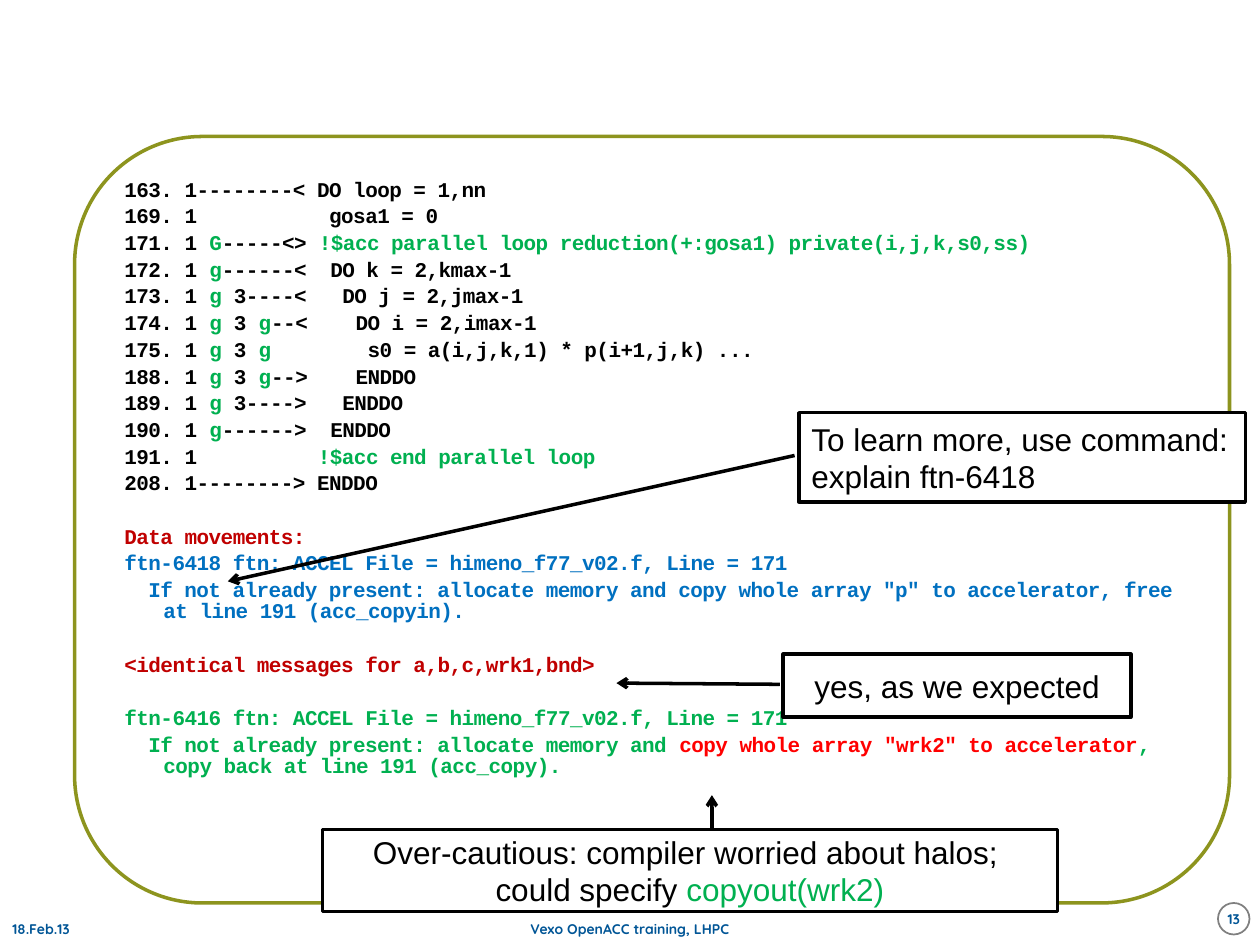
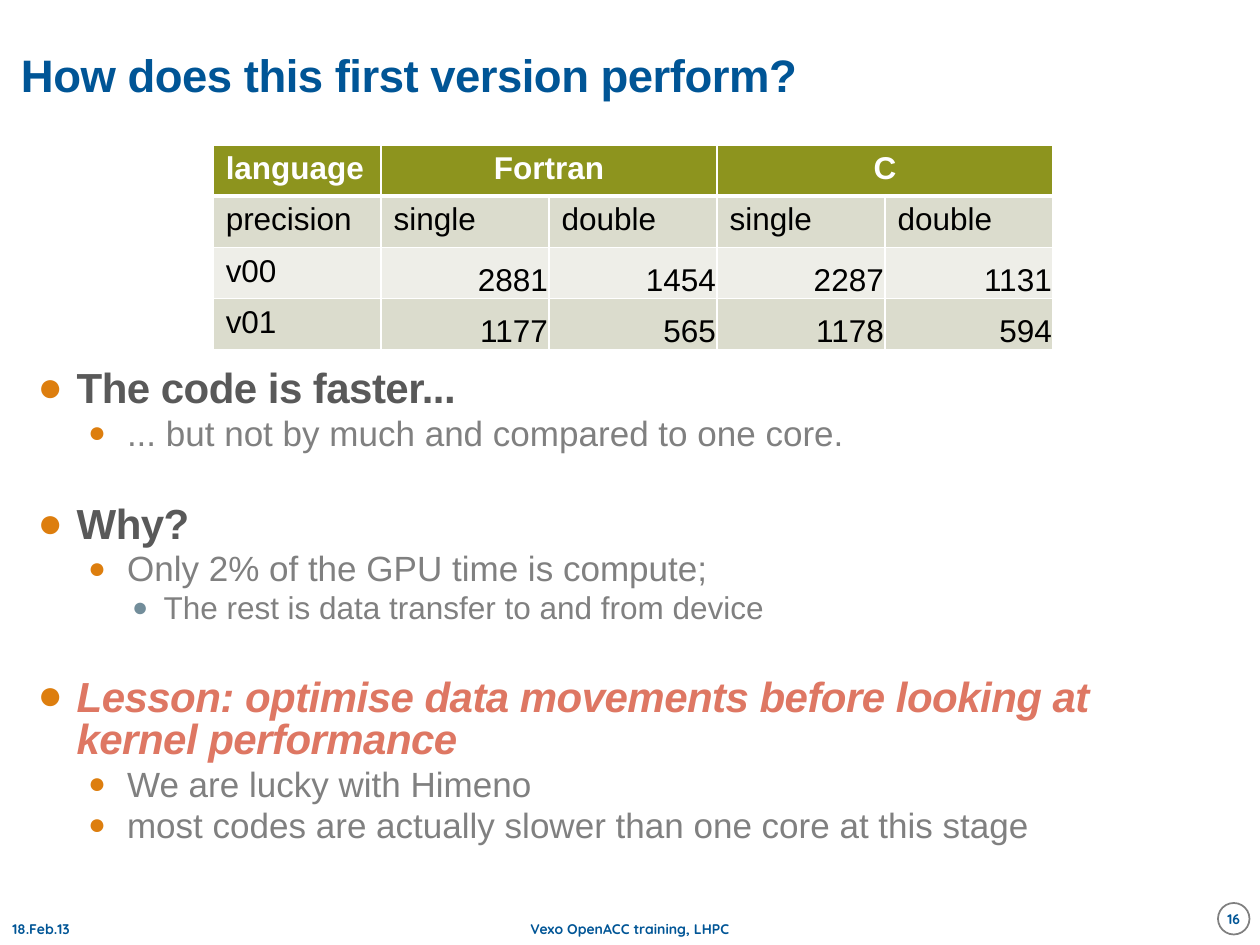
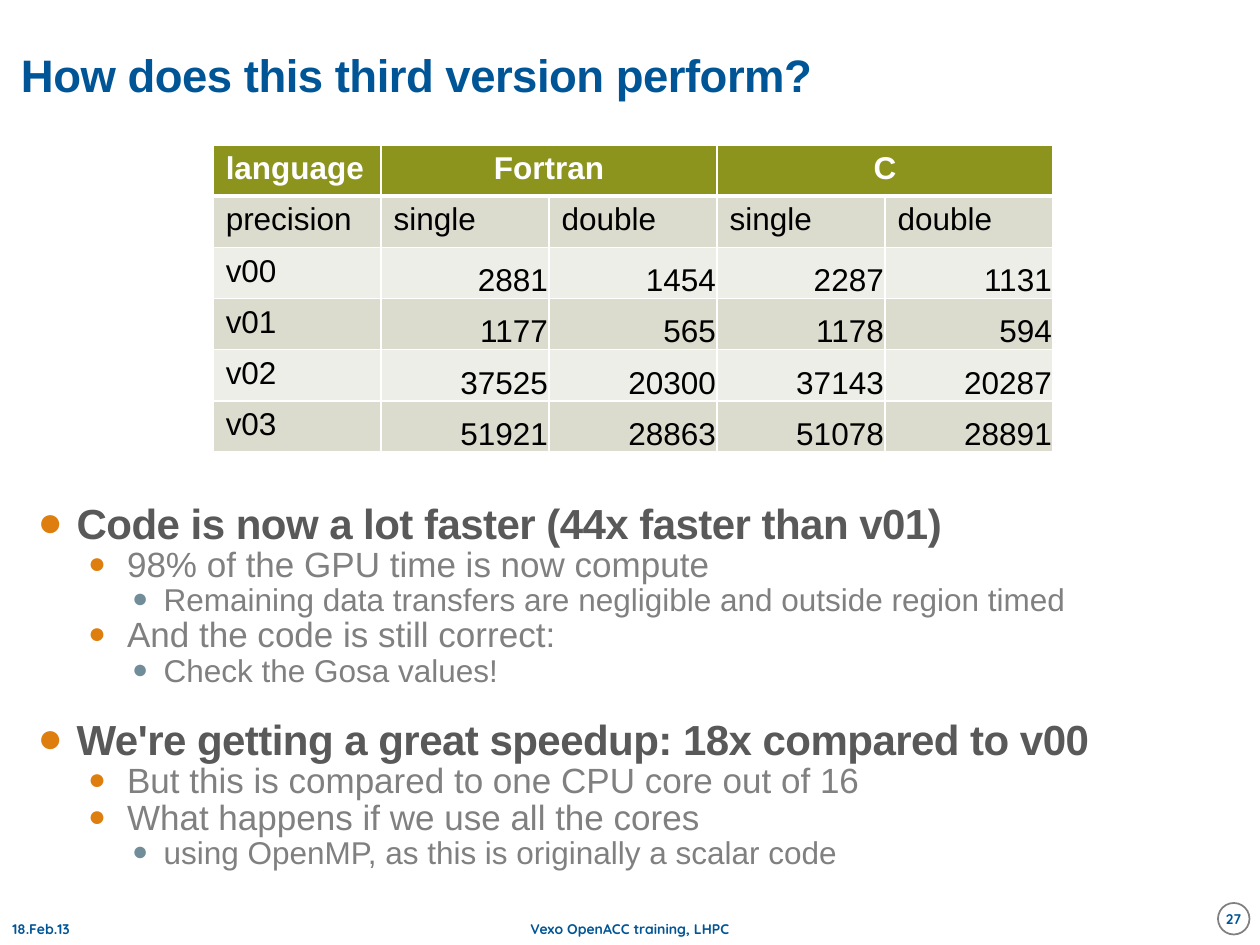
from pptx import Presentation
from pptx.dml.color import RGBColor
from pptx.enum.shapes import MSO_SHAPE
from pptx.enum.text import MSO_ANCHOR, PP_ALIGN
from pptx.oxml import parse_xml
from pptx.oxml.ns import nsdecls, qn
from pptx.util import Inches, Pt

LEFT, MID, RIGHT = PP_ALIGN.LEFT, PP_ALIGN.CENTER, PP_ALIGN.RIGHT
TOP, CENTER, BOTTOM = MSO_ANCHOR.TOP, MSO_ANCHOR.MIDDLE, MSO_ANCHOR.BOTTOM
OVAL, ROUND, CALL = (MSO_SHAPE.OVAL, MSO_SHAPE.ROUNDED_RECTANGLE,
                     MSO_SHAPE.LINE_CALLOUT_1)

HEX = {
    "white": "FFFFFF", "black": "000000", "navy": "005596", "olive": "8D941E",
    "gray": "808080", "dark": "595959", "coral": "DE7763", "amber": "DD7E0E",
    "slate": "728D9A", "green": "00B050", "wine": "C00000", "blue": "0070C0",
    "red": "FF0000", "band": "DBDCCD", "pale": "EEEEE8",
}
SANS, MONO, FOOT = "Arial", "Courier New", "Quicksand"

# The slide is a grid of 120 columns and 90 rows
COLS, ROWS = 120, 90
WIDE, HIGH = Inches(10), Inches(7.5)

TITLE = (2, 2, 96, 11)
DATE = (0, 87, 28, 3)
EVENT = (41, 87, 38, 3)
BADGE = (116, 86, 3, 3)
FRAME = (7.1, 13, 110, 73)
MAIN = (2.4, 13.8, 114.4, 71.7)


def place(box):
    x, y, w, h = box
    return [int(v) for v in (x * WIDE / COLS, y * HIGH / ROWS,
                             w * WIDE / COLS, h * HIGH / ROWS)]


def rgb(name):
    return RGBColor.from_string(HEX[name])


def add_run(para, text, size, font, color, bold=False, slant=False, tight=False):
    run = para.add_run()
    run.text = text
    face = run.font
    face.size, face.name, face.bold, face.italic = Pt(size), font, bold, slant
    face.color.rgb = rgb(color)
    if tight:
        run._r.get_or_add_rPr().set("spc", "-30")


def setup(frame, anchor, inset=None):
    frame.word_wrap = True
    frame.vertical_anchor = anchor
    if inset is not None:
        frame.margin_left = frame.margin_right = Inches(inset)
        frame.margin_top = frame.margin_bottom = Inches(inset)
    return frame


def lines(frame):
    """Yield the first paragraph, then new ones."""
    yield frame.paragraphs[0]
    while True:
        yield frame.add_paragraph()


def space(para, ratio, gap=0):
    para.line_spacing = ratio
    para.space_before, para.space_after = Pt(1.5 + gap), Pt(1.5)


def indent(para, left, first):
    props = para._p.get_or_add_pPr()
    props.set("marL", str(Inches(left)))
    props.set("indent", str(Inches(first)))
    return props


def text_box(slide, box, anchor, inset=None):
    return setup(slide.shapes.add_textbox(*place(box)).text_frame, anchor, inset)


def outline(slide, kind, box, color, width):
    shape = slide.shapes.add_shape(kind, *place(box))
    shape.shadow.inherit = False
    shape.fill.solid()
    shape.fill.fore_color.rgb = rgb("white")
    shape.line.color.rgb = rgb(color)
    shape.line.width = Pt(width)
    return shape


# Shared parts

def footer(slide, number):
    def mark(frame, text, align):
        para = frame.paragraphs[0]
        para.alignment = align
        add_run(para, text, 8, FOOT, "navy", bold=True)

    mark(text_box(slide, DATE, CENTER), "18.Feb.13", LEFT)
    mark(text_box(slide, EVENT, CENTER), "Vexo OpenACC training, LHPC", MID)
    badge = outline(slide, OVAL, BADGE, "gray", 1)
    mark(setup(badge.text_frame, CENTER, 0), str(number), MID)


def heading(slide, text):
    para = text_box(slide, TITLE, CENTER, 0).paragraphs[0]
    para.line_spacing = 0.85
    add_run(para, text, 26, SANS, "navy", bold=True, tight=True)


# Compiler listing

K, G = "black", "green"
CODE = [
    [(K, "163. 1--------< DO loop = 1,nn")],
    [(K, "169. 1           gosa1 = 0")],
    [(K, "171. 1 "), (G, "G"), (K, "-----<> "),
     (G, "!$acc parallel loop reduction(+:gosa1) private(i,j,k,s0,ss)")],
    [(K, "172. 1 "), (G, "g"), (K, "------<  DO k = 2,kmax-1")],
    [(K, "173. 1 "), (G, "g "), (K, "3----<   DO j = 2,jmax-1")],
    [(K, "174. 1 "), (G, "g"), (K, " 3 "), (G, "g"),
     (K, "--<    DO i = 2,imax-1")],
    [(K, "175. 1 "), (G, "g"), (K, " 3 "), (G, "g        "),
     (K, "s0 = a(i,j,k,1) * p(i+1,j,k) ...")],
    [(K, "188. 1 "), (G, "g"), (K, " 3 "), (G, "g"), (K, "-->    ENDDO")],
    [(K, "189. 1 "), (G, "g"), (K, " 3---->   ENDDO")],
    [(K, "190. 1 "), (G, "g"), (K, "------>  ENDDO")],
    [(K, "191. 1          "), (G, "!$acc end parallel loop")],
    [(K, "208. 1--------> ENDDO")],
]
# Messages: gap before, first-line indent, runs
NOTES = [
    (15.2, -0.31, [("wine", "Data movements:")]),
    (0, -0.31, [("blue", "ftn-6418 ftn: ACCEL File = himeno_f77_v02.f, Line = 171")]),
    (0, -0.12, [("blue", 'If not already present: allocate memory and copy whole '
                 'array "p" to accelerator, free at line 191 (acc_copyin).')]),
    (15.2, -0.31, [("wine", "<identical messages for a,b,c,wrk1,bnd>")]),
    (15.2, -0.31, [(G, "ftn-6416 ftn: ACCEL File = himeno_f77_v02.f, Line = 171")]),
    (0, -0.12, [(G, "If not already present: allocate memory and "),
                ("red", 'copy whole array "wrk2" to accelerator'),
                (G, ", copy back at line 191 (acc_copy).")]),
]
# Callouts: box within the frame, start and end of the arrow as
# (down, across) shares of the callout, alignment, lines
CALLS = [
    ((23.6, 66, 70, 7.8), (0, 0.53, -0.42, 0.53), MID,
     [[(K, "Over-cautious: compiler worried about halos; ")],
      [(K, "could specify "), (G, "copyout(wrk2)")]]),
    ((67.5, 49.3, 33.1, 6), (0.48, -0.01, 0.46, -0.48), MID,
     [[(K, "yes, as we expected")]]),
    ((69, 26.3, 42.5, 8.5), (0.48, -0.01, 1.89, -1.28), LEFT,
     [[(K, "To learn more, use command:")], [(K, "explain ftn-6418")]]),
]


def listing(slide, box):
    panel = outline(slide, ROUND, box, "olive", 2)
    frame = setup(panel.text_frame, TOP)
    rows = [(0, -0.31, runs) for runs in CODE] + NOTES
    for para, (gap, first, runs) in zip(lines(frame), rows):
        para.alignment = LEFT
        space(para, 0.85, gap)
        indent(para, 0.31, first)
        for color, text in runs:
            add_run(para, text, 12, MONO, color, bold=True, tight=True)


def callout(slide, box, tip, align, rows):
    shape = outline(slide, CALL, box, "black", 2)
    for i, share in enumerate(tip):
        shape.adjustments[i] = share
    line = shape._element.spPr.find(qn("a:ln"))
    line.append(parse_xml(f'<a:tailEnd {nsdecls("a")} type="arrow"/>'))
    frame = setup(shape.text_frame, CENTER)
    for runs, para in zip(rows, lines(frame)):
        para.alignment = align
        for color, text in runs:
            add_run(para, text, 18, SANS, color)


def code_slide(slide, box):
    listing(slide, box)
    for (x, y, w, h), *rest in CALLS:
        callout(slide, (box[0] + x, box[1] + y, w, h), *rest)


# Results table

SCORES = [
    ("v00", 2881, 1454, 2287, 1131),
    ("v01", 1177, 565, 1178, 594),
    ("v02", 37525, 20300, 37143, 20287),
    ("v03", 51921, 28863, 51078, 28891),
]
ROW = 4.88


def edges(cell, top, bottom):
    props = cell._tc.get_or_add_tcPr()
    for i, (side, width) in enumerate(zip("LRTB", (1, 1, top, bottom))):
        props.insert(i, parse_xml(
            f'<a:ln{side} {nsdecls("a")} w="{Pt(width)}"><a:solidFill>'
            f'<a:srgbClr val="{HEX["white"]}"/></a:solidFill></a:ln{side}>'))


def results(slide, box, count):
    rows = [("language", "Fortran", "", "C", ""),
            ("precision",) + ("single", "double") * 2] + SCORES[:count]
    table = slide.shapes.add_table(len(rows), 5, *place(box)).table
    for col in (1, 3):
        table.cell(0, col).merge(table.cell(0, col + 1))
    for r, row in enumerate(rows):
        fill = "olive" if r == 0 else "band" if r % 2 else "pale"
        for c, value in enumerate(row):
            cell = table.cell(r, c)
            cell.fill.solid()
            cell.fill.fore_color.rgb = rgb(fill)
            edges(cell, 3 if r == 1 else 1, 3 if r == 0 else 1)
            if value == "":
                continue
            para = cell.text_frame.paragraphs[0]
            if r == 0 and c:
                para.alignment = MID
            elif r > 1 and c:
                para.alignment = RIGHT
                cell.vertical_anchor = BOTTOM
                cell.margin_left = cell.margin_right = Inches(0.01)
                cell.margin_top, cell.margin_bottom = Inches(0.01), 0
            add_run(para, str(value), 18, SANS, "black" if r else "white",
                    bold=r == 0)


# Bullets

# Level: left, first line, text size, text colour, bullet colour, bullet size
LEVELS = [
    (0.31, -0.31, 24, "dark", "amber", 100),
    (0.71, -0.31, 20, "gray", "amber", 85),
    (1, -0.25, 18, "gray", "slate", 85),
]


def bullets(slide, box, items, ratio, gap):
    frame = text_box(slide, box, TOP)
    for i, (para, (level, text)) in enumerate(zip(lines(frame), items)):
        left, first, size, color, dot, scale = LEVELS[level]
        head = level == 0
        lesson = text.startswith("Lesson")
        space(para, ratio, gap if head and i else 0)
        para.level = level
        props = indent(para, left, first)
        for xml in (f'<a:buClr {{}}><a:srgbClr val="{HEX[dot]}"/></a:buClr>',
                    f'<a:buSzPct {{}} val="{scale * 1000}"/>',
                    f'<a:buFont {{}} typeface="{SANS}"/>',
                    '<a:buChar {} char="●"/>'):
            props.append(parse_xml(xml.format(nsdecls("a"))))
        add_run(para, text, size, SANS, "coral" if lesson else color,
                bold=head, slant=lesson, tight=head)


def perf_slide(slide, box, title, count, drop, items, ratio, gap):
    x, y, w, h = box
    heading(slide, title)
    bullets(slide, (x, y + drop, w, h - drop), items, ratio, gap)
    results(slide, (x + 17.9, y, 80, ROW * (count + 2)), count)


FIRST = [
    (0, "The code is faster..."),
    (1, "... but not by much and compared to one core."),
    (0, "Why?"),
    (1, "Only 2% of the GPU time is compute;"),
    (2, "The rest is data transfer to and from device"),
    (0, "Lesson: optimise data movements before looking at kernel performance"),
    (1, "We are lucky with Himeno"),
    (1, "most codes are actually slower than one core at this stage"),
]
THIRD = [
    (0, "Code is now a lot faster (44x faster than v01)"),
    (1, "98% of the GPU time is now compute"),
    (2, "Remaining data transfers are negligible and outside region timed"),
    (1, "And the code is still correct:"),
    (2, "Check the Gosa values!"),
    (0, "We're getting a great speedup: 18x compared to v00"),
    (1, "But this is compared to one CPU core out of 16"),
    (1, "What happens if we use all the cores"),
    (2, "using OpenMP, as this is originally a scalar code"),
]


def main():
    deck = Presentation()
    deck.slide_width, deck.slide_height = WIDE, HIGH
    blank = deck.slide_layouts[6]
    pages = [
        (13, code_slide, (FRAME,)),
        (16, perf_slide, (MAIN, "How does this first version perform?",
                          2, 20.8, FIRST, 0.85, 26.5)),
        (27, perf_slide, (MAIN, "How does this third version perform?",
                          4, 34.1, THIRD, 0.75, 18.5)),
    ]
    for number, build, args in pages:
        slide = deck.slides.add_slide(blank)
        footer(slide, number)
        build(slide, *args)
    deck.save("out.pptx")


if __name__ == "__main__":
    main()
